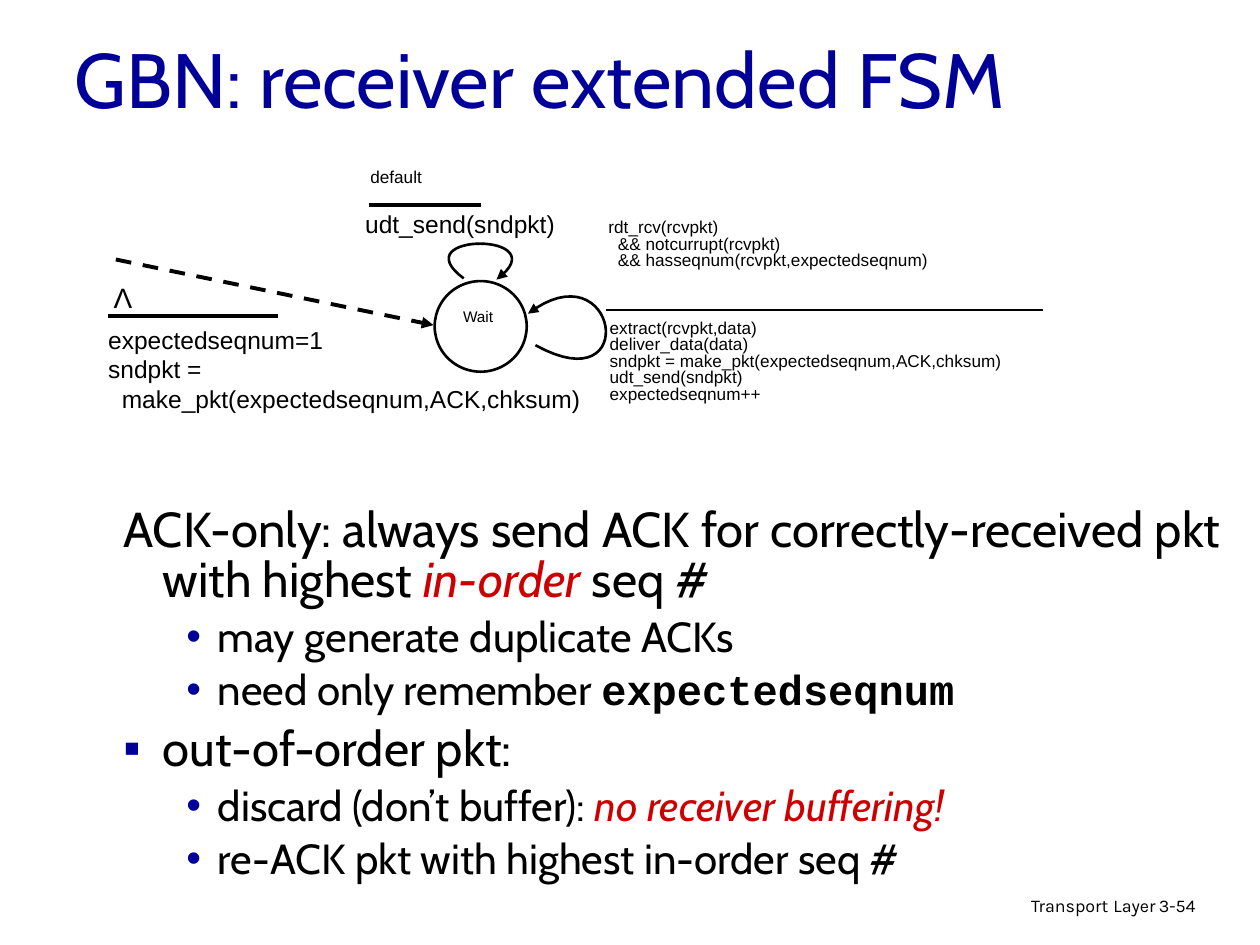
"""Build a slide on the extended FSM of the Go-Back-N receiver."""
from lxml import etree
from pptx import Presentation
from pptx.dml.color import RGBColor
from pptx.enum.dml import MSO_LINE
from pptx.enum.shapes import MSO_CONNECTOR, MSO_SHAPE
from pptx.enum.text import MSO_ANCHOR, PP_ALIGN
from pptx.oxml.ns import qn
from pptx.util import Pt

BLACK = RGBColor(0x00, 0x00, 0x00)
WHITE = RGBColor(0xFF, 0xFF, 0xFF)
NAVY = RGBColor(0x00, 0x00, 0x99)
RED = RGBColor(0xCC, 0x00, 0x00)
STRAIGHT = MSO_CONNECTOR.STRAIGHT
OVAL = MSO_SHAPE.OVAL
DASH = MSO_LINE.DASH
MIDDLE = MSO_ANCHOR.MIDDLE
LEFT, CENTER, RIGHT = PP_ALIGN.LEFT, PP_ALIGN.CENTER, PP_ALIGN.RIGHT
CURVE_STEPS = 32


def add_text(paragraph, text, size, font="Arial", color=BLACK, bold=False, italic=False):
    run = paragraph.add_run()
    run.text = text
    run.font.size = Pt(size)
    run.font.name = font
    run.font.color.rgb = color
    run.font.bold = bold
    run.font.italic = italic


def format_line(shape, width, arrow=False):
    shape.line.color.rgb = BLACK
    shape.line.width = Pt(width)
    if arrow:
        line = shape.line._get_or_add_ln()
        etree.SubElement(line, qn("a:tailEnd"), type="triangle")


presentation = Presentation()
presentation.slide_width = Pt(720)
presentation.slide_height = Pt(540)
slide = presentation.slides.add_slide(presentation.slide_layouts[5])
shapes = slide.shapes

title = shapes.title
title.left, title.top, title.width, title.height = Pt(35.3), Pt(16.6), Pt(612), Pt(55.4)
title.text_frame.vertical_anchor = MIDDLE
title_paragraph = title.text_frame.paragraphs[0]
title_paragraph.alignment = LEFT
add_text(title_paragraph, "GBN: receiver extended FSM", 44, font="Cabin", color=NAVY)

wait_state = shapes.add_shape(OVAL, Pt(248.4), Pt(160.6), Pt(52.6), Pt(51.8))
wait_state.shadow.inherit = False
wait_state.fill.solid()
wait_state.fill.fore_color.rgb = WHITE
format_line(wait_state, 1.5)

straight_lines = [
    ((66.2, 148.3), (247.7, 185.8), 2.25, True),
    ((211, 117.4), (275, 117.4), 2.25, False),
    ((346.3, 177.1), (596.2, 177.1), 1.5, False),
    ((61.9, 180.7), (159.1, 180.7), 2.25, False),
]
for start, end, width, is_initial in straight_lines:
    connector = shapes.add_connector(STRAIGHT, *[Pt(value) for value in start + end])
    etree.SubElement(connector._element.spPr, qn("a:effectLst"))
    if is_initial:
        connector.line.dash_style = DASH
    format_line(connector, width, arrow=is_initial)

loop_controls = [
    ((306, 197.3), (367.2, 231.1), (352.8, 140.4), (301.7, 179.3)),
    ((265, 159.1), (229, 132.5), (320.4, 132.5), (283.7, 159.8)),
]
for controls in loop_controls:
    points = []
    for step in range(CURVE_STEPS + 1):
        t = step / CURVE_STEPS
        weights = ((1 - t) ** 3, 3 * t * (1 - t) ** 2, 3 * t ** 2 * (1 - t), t ** 3)
        points.append([
            Pt(sum(weight * value for weight, value in zip(weights, axis)))
            for axis in zip(*controls)
        ])
    builder = shapes.build_freeform(*points[0])
    builder.add_line_segments(points[1:], close=False)
    loop = builder.convert_to_shape()
    loop.shadow.inherit = False
    loop.fill.background()
    format_line(loop, 1.5, arrow=True)

labels = [
    ((241.9, 174.2, 62.6, 18.7), 8.8, 0.8, CENTER, [("Wait", 0)]),
    ((201.6, 115.9, 127.4, 24.5), 14, 1.0, LEFT, [("udt_send(sndpkt)", 0)]),
    ((204.5, 93.6, 56.9, 19.4), 9.8, 0.8, LEFT, [("default", 0)]),
    ((340.6, 122.4, 280.8, 44.6), 9.8, 0.8, LEFT, [
        ("rdt_rcv(rcvpkt)", 0),
        ("&& notcurrupt(rcvpkt)", 5.4),
        ("&& hasseqnum(rcvpkt,expectedseqnum)", 5.4),
    ]),
    ((341.3, 180, 339.8, 67.7), 9.8, 0.8, LEFT, [
        ("extract(rcvpkt,data)", 0),
        ("deliver_data(data)", 0),
        ("sndpkt = make_pkt(expectedseqnum,ACK,chksum)", 0),
        ("udt_send(sndpkt)", 0),
        ("expectedseqnum++", 0),
    ]),
    ((54.7, 182.2, 286.6, 77), 14, 1.0, LEFT, [
        ("expectedseqnum=1", 0),
        ("sndpkt =", 0),
        ("make_pkt(expectedseqnum,ACK,chksum)", 7.8),
    ]),
    ((57.6, 157, 25.2, 26.6), 16, 1.0, CENTER, [("Λ", 0)]),
]
for bounds, size, spacing, alignment, lines in labels:
    text_frame = shapes.add_textbox(*[Pt(value) for value in bounds]).text_frame
    text_frame.word_wrap = True
    for index, (text, indent) in enumerate(lines):
        paragraph = text_frame.add_paragraph() if index else text_frame.paragraphs[0]
        paragraph.alignment = alignment
        paragraph.line_spacing = spacing
        if indent:
            paragraph._p.get_or_add_pPr().set("marL", str(Pt(indent)))
        add_text(paragraph, text, size)

body_lines = [
    (0, "", [
        ("ACK-only: always send ACK for correctly-received pkt with highest ", {}),
        ("in-order", {"color": RED, "italic": True}),
        (" seq #", {}),
    ]),
    (1, "•", [("may generate duplicate ACKs", {})]),
    (1, "•", [
        ("need only remember ", {}),
        ("expectedseqnum", {"font": "Courier New", "bold": True}),
    ]),
    (0, "▪", [("out-of-order pkt:", {})]),
    (1, "•", [
        ("discard (don’t buffer): ", {}),
        ("no receiver buffering!", {"color": RED, "italic": True}),
    ]),
    (1, "•", [("re-ACK pkt with highest in-order seq #", {})]),
]
level_formats = [(28, 7, 22.5, -22.5), (24, 6, 54, -18)]
body = shapes.add_textbox(Pt(63.4), Pt(286.6), Pt(641.5), Pt(224.6)).text_frame
body.word_wrap = True
for index, (level, bullet, runs) in enumerate(body_lines):
    size, space_before, margin, indent = level_formats[level]
    paragraph = body.add_paragraph() if index else body.paragraphs[0]
    paragraph.level = level
    paragraph.line_spacing = 0.85
    paragraph.space_before = Pt(space_before if index else 0)
    properties = paragraph._p.get_or_add_pPr()
    properties.set("marL", str(Pt(margin)))
    properties.set("indent", str(Pt(indent)))
    if bullet:
        bullet_color = etree.SubElement(properties, qn("a:buClr"))
        etree.SubElement(bullet_color, qn("a:srgbClr"), val=str(NAVY))
        etree.SubElement(properties, qn("a:buFont"), typeface="Arial")
        etree.SubElement(properties, qn("a:buChar"), char=bullet)
    for text, run_format in runs:
        add_text(paragraph, text, size, **{"font": "Cabin", **run_format})

footers = [
    (439.2, 507.6, 228.2, RIGHT, [("Transport", 10.2), (" ", 11.9), ("Layer", 10.2)]),
    (655.2, 509, 53.3, LEFT, [("3-54", 10.2)]),
]
for left, top, width, alignment, runs in footers:
    text_frame = shapes.add_textbox(Pt(left), Pt(top), Pt(width), Pt(22)).text_frame
    text_frame.word_wrap = True
    paragraph = text_frame.paragraphs[0]
    paragraph.alignment = alignment
    paragraph.line_spacing = 0.9
    for text, size in runs:
        add_text(paragraph, text, size, font="Karla")

presentation.save("out.pptx")
